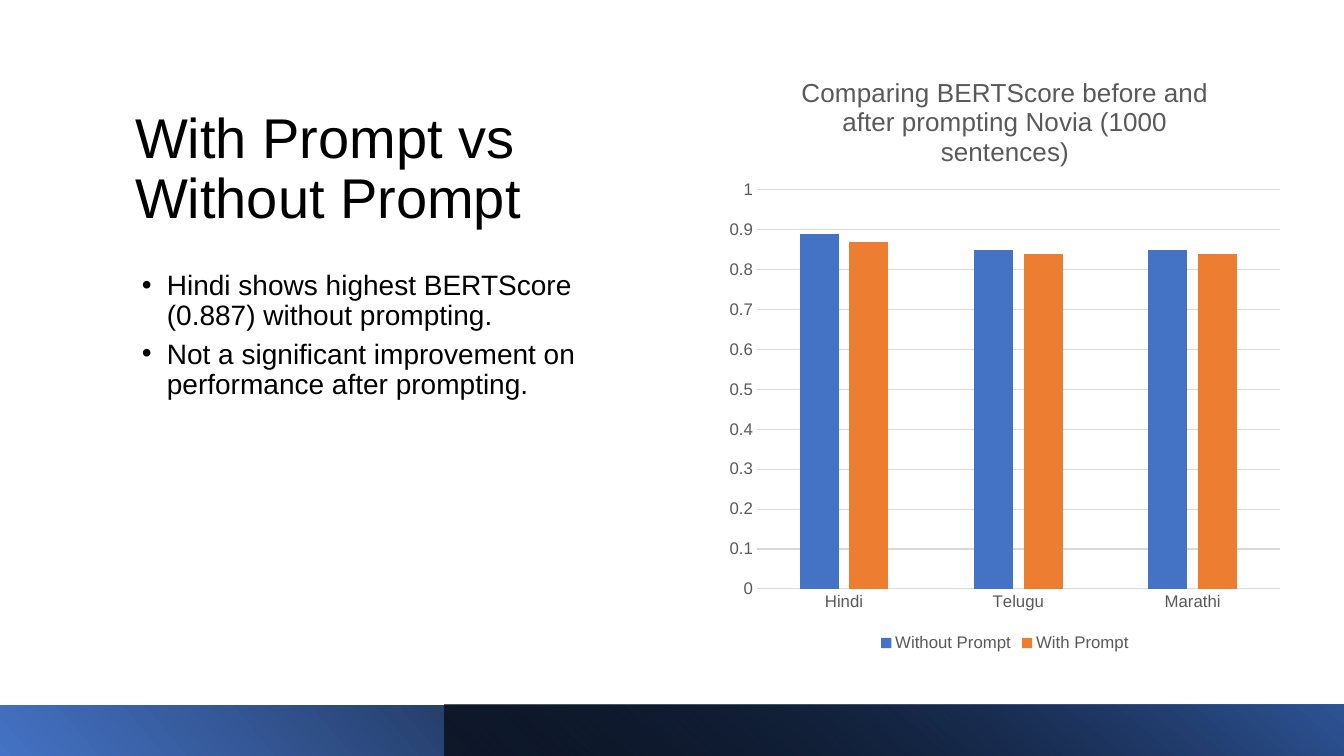
import dataclasses
import typing

import pptx
import pptx.chart.data
import pptx.dml.color
import pptx.enum.chart
import pptx.enum.shapes
import pptx.enum.text
import pptx.oxml
import pptx.oxml.ns
import pptx.util

EMU_PER_PX = 914400 / 100.8
FONT = "Arial"
COLOURS = {
    "text": "000000",
    "label": "595959",
    "grid": "D9D9D9",
    "blue": "4472C4",
    "orange": "ED7D31",
    "navy": "2F5597",
    "black": "000000",
}
BULLETS = (
    "Hindi shows highest BERTScore (0.887) without prompting.",
    "Not a significant improvement on performance after prompting.",
)
CHART_TITLE = "Comparing BERTScore before and after prompting Novia (1000 sentences)"
LANGUAGES = ("Hindi", "Telugu", "Marathi")


@dataclasses.dataclass(frozen=True)
class Box:
    left: int
    top: int
    width: int
    height: int

    def emu(self) -> dict[str, int]:
        return {name: px(value) for name, value in dataclasses.asdict(self).items()}


@dataclasses.dataclass(frozen=True)
class Stop:
    position: float
    colour: str
    opacity: int = 100


@dataclasses.dataclass(frozen=True)
class FooterBand:
    box: Box
    angle: int
    stops: tuple[Stop, Stop]
    rotation: int = 0


@dataclasses.dataclass(frozen=True)
class ScoreSeries:
    name: str
    scores: tuple[float, ...]
    colour: str


TITLE_BOX = Box(125, 55, 546, 181)
BODY_BOX = Box(125, 266, 546, 388)
CHART_BOX = Box(718, 53, 574, 603)
PLOT_BOX = Box(757, 190, 523, 399)
FOOTER_BANDS = (
    FooterBand(Box(0, 705, 1344, 51), 40, (Stop(0, "blue"), Stop(0.78, "black")), 180),
    FooterBand(Box(445, 705, 899, 51), 230, (Stop(0, "black", 63), Stop(1, "navy"))),
)
SCORES = (
    ScoreSeries("Without Prompt", (0.89, 0.85, 0.85), "blue"),
    ScoreSeries("With Prompt", (0.87, 0.84, 0.84), "orange"),
)


def px(value: int) -> int:
    return round(value * EMU_PER_PX)


def rgb(name: str) -> pptx.dml.color.RGBColor:
    return pptx.dml.color.RGBColor.from_string(COLOURS[name])


def apply(target: typing.Any, values: dict[str, typing.Any]) -> None:
    """Set each named attribute of the target."""
    for name, value in values.items():
        setattr(target, name, value)


def format_font(font: typing.Any, size: float, colour: str) -> None:
    apply(font, {"name": FONT, "size": pptx.util.Pt(size), "bold": False})
    font.color.rgb = rgb(colour)


def add_title(slide: typing.Any) -> None:
    title = slide.shapes.title
    apply(title, TITLE_BOX.emu())
    title.text = "With Prompt vs Without Prompt"
    apply(title.text_frame, {
        "word_wrap": True,
        "auto_size": pptx.enum.text.MSO_AUTO_SIZE.NONE,
        "vertical_anchor": pptx.enum.text.MSO_ANCHOR.BOTTOM,
    })
    paragraph = title.text_frame.paragraphs[0]
    apply(paragraph, {"alignment": pptx.enum.text.PP_ALIGN.LEFT, "line_spacing": 0.9})
    format_font(paragraph.runs[0].font, 40, "text")


def add_bullets(slide: typing.Any) -> None:
    frame = slide.shapes.add_textbox(**BODY_BOX.emu()).text_frame
    frame.word_wrap = True
    frame.text = "\n".join(BULLETS)
    namespace = pptx.oxml.ns.nsdecls("a")
    for paragraph in frame.paragraphs:
        apply(paragraph, {"line_spacing": 0.9, "space_after": pptx.util.Pt(6)})
        format_font(paragraph.runs[0].font, 20, "text")
        properties = paragraph._p.get_or_add_pPr()
        properties.set("marL", str(px(32)))
        properties.set("indent", str(px(-25)))
        for tag in (f'buFont {namespace} typeface="{FONT}"', f'buChar {namespace} char="•"'):
            properties.append(pptx.oxml.parse_xml(f"<a:{tag}/>"))


def add_footer_band(slide: typing.Any, band: FooterBand) -> None:
    shape = slide.shapes.add_shape(
        pptx.enum.shapes.MSO_SHAPE.RECTANGLE, **band.box.emu())
    shape.shadow.inherit = False
    shape.rotation = band.rotation
    shape._element.spPr.xfrm.set("flipH", "1")
    shape.line.fill.background()
    shape.fill.gradient()
    shape.fill.gradient_angle = 360 - band.angle
    for gradient_stop, stop in zip(shape.fill.gradient_stops, band.stops):
        gradient_stop.position = stop.position
        gradient_stop.color.rgb = rgb(stop.colour)
        if stop.opacity < 100:
            alpha = pptx.oxml.parse_xml(
                f'<a:alpha {pptx.oxml.ns.nsdecls("a")} val="{stop.opacity * 1000}"/>')
            gradient_stop._gs.find(".//" + pptx.oxml.ns.qn("a:srgbClr")).append(alpha)


def format_line(line: typing.Any) -> None:
    line.color.rgb = rgb("grid")
    line.width = pptx.util.Pt(0.75)


def place_plot_area(chart: typing.Any) -> None:
    """Fix the inner plot area at PLOT_BOX, as fractions of the chart."""
    fractions = {
        "x": (PLOT_BOX.left - CHART_BOX.left) / CHART_BOX.width,
        "y": (PLOT_BOX.top - CHART_BOX.top) / CHART_BOX.height,
        "w": PLOT_BOX.width / CHART_BOX.width,
        "h": PLOT_BOX.height / CHART_BOX.height,
    }
    settings = '<c:layoutTarget val="inner"/><c:xMode val="edge"/><c:yMode val="edge"/>'
    settings += "".join(f'<c:{name} val="{value:.4f}"/>' for name, value in fractions.items())
    plot_area = chart._chartSpace.chart.plotArea
    for layout in plot_area.findall(pptx.oxml.ns.qn("c:layout")):
        plot_area.remove(layout)
    plot_area.insert(0, pptx.oxml.parse_xml(
        f'<c:layout {pptx.oxml.ns.nsdecls("c")}>'
        f"<c:manualLayout>{settings}</c:manualLayout></c:layout>"))


def add_score_chart(slide: typing.Any) -> None:
    data = pptx.chart.data.CategoryChartData()
    data.categories = LANGUAGES
    for series in SCORES:
        data.add_series(series.name, series.scores)
    box = CHART_BOX.emu()
    chart = slide.shapes.add_chart(
        pptx.enum.chart.XL_CHART_TYPE.COLUMN_CLUSTERED,
        box["left"], box["top"], box["width"], box["height"], data).chart
    format_font(chart.font, 10, "text")
    place_plot_area(chart)

    chart.has_title = True
    title_frame = chart.chart_title.text_frame
    title_frame.text = CHART_TITLE
    format_font(title_frame.paragraphs[0].runs[0].font, 18.6, "label")
    chart.chart_title.include_in_layout = False

    chart.has_legend = True
    apply(chart.legend, {
        "position": pptx.enum.chart.XL_LEGEND_POSITION.BOTTOM,
        "include_in_layout": False,
    })
    format_font(chart.legend.font, 12, "label")

    for axis in (chart.category_axis, chart.value_axis):
        axis.major_tick_mark = pptx.enum.chart.XL_TICK_MARK.NONE
        format_font(axis.tick_labels.font, 12, "label")
    format_line(chart.category_axis.format.line)
    apply(chart.value_axis, {
        "minimum_scale": 0, "maximum_scale": 1, "major_unit": 0.1,
        "has_major_gridlines": True,
    })
    chart.value_axis.format.line.fill.background()
    format_line(chart.value_axis.major_gridlines.format.line)

    plot = chart.plots[0]
    apply(plot, {"gap_width": 219, "overlap": -27, "vary_by_categories": False})
    for plotted, series in zip(plot.series, SCORES):
        plotted.format.fill.solid()
        plotted.format.fill.fore_color.rgb = rgb(series.colour)


def main() -> None:
    presentation = pptx.Presentation()
    apply(presentation, {"slide_width": px(1344), "slide_height": px(756)})
    slide = presentation.slides.add_slide(presentation.slide_layouts[5])
    add_title(slide)
    add_bullets(slide)
    for band in FOOTER_BANDS:
        add_footer_band(slide, band)
    add_score_chart(slide)
    presentation.save("out.pptx")


if __name__ == "__main__":
    main()
